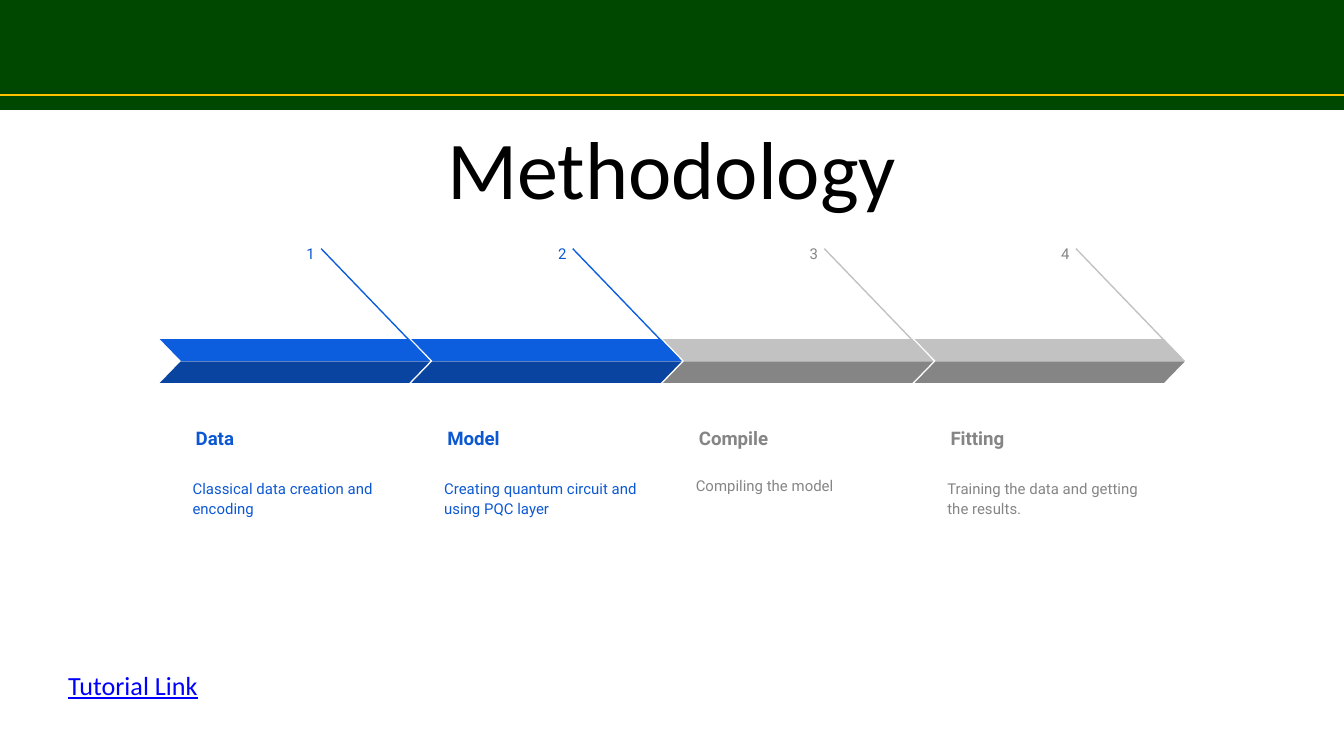
from dataclasses import dataclass

from lxml import etree
from pptx import Presentation
from pptx.dml.color import RGBColor
from pptx.enum import shapes, text
from pptx.oxml.ns import qn
from pptx.util import Cm, Pt

GREEN = RGBColor(0x00, 0x48, 0x00)
GOLD = RGBColor(0xFF, 0xC0, 0x00)
BLACK = RGBColor(0x00, 0x00, 0x00)
LINK_BLUE = RGBColor(0x00, 0x00, 0xFF)
TEXT_BLUE = RGBColor(0x0C, 0x58, 0xD3)
BLUE = RGBColor(0x0D, 0x5D, 0xDF)
DARK_BLUE = RGBColor(0x09, 0x44, 0xA1)
LIGHT_GREY = RGBColor(0xC2, 0xC2, 0xC2)
GREY = RGBColor(0x85, 0x85, 0x85)

SLIDE_W, SLIDE_H = 25.4, 14.29
STEP_LEFT, STEP_PITCH = 3.02, 4.755
BAR_W, BAR_H = 5.11, 0.41
INSET = Cm(0.25)


@dataclass(frozen=True)
class Palette:
    text: RGBColor
    upper: RGBColor
    lower: RGBColor


@dataclass(frozen=True)
class Step:
    heading: str
    body: str
    palette: Palette


ACTIVE = Palette(TEXT_BLUE, BLUE, DARK_BLUE)
PENDING = Palette(GREY, LIGHT_GREY, GREY)
STEPS = [
    Step("Data", "Classical data creation and encoding", ACTIVE),
    Step("Model", "Creating quantum circuit and using PQC layer", ACTIVE),
    Step("Compile", "Compiling the model", PENDING),
    Step("Fitting", "Training the data and getting the results.", PENDING),
]


def write(tf, content: str, *, size: float, color: RGBColor, font: str = "Roboto",
          bold: bool = False, underline: bool = False, align=text.PP_ALIGN.LEFT,
          anchor=text.MSO_ANCHOR.TOP, spacing: float = 1.0, after: float = 0) -> None:
    tf.word_wrap = True
    tf.vertical_anchor = anchor
    p = tf.paragraphs[0]
    p.alignment, p.line_spacing, p.space_after = align, spacing, Pt(after)
    r = p.add_run()
    r.text = content
    f = r.font
    f.name, f.size, f.bold, f.underline = font, Pt(size), bold, underline
    f.color.rgb = color


def add_text(parent, box: tuple, content: str, **fmt) -> None:
    tf = parent.add_textbox(*map(Cm, box)).text_frame
    tf.margin_left = tf.margin_right = tf.margin_top = tf.margin_bottom = INSET
    write(tf, content, **fmt)


def add_filled(parent, kind, box: tuple, color: RGBColor):
    sp = parent.add_shape(kind, *map(Cm, box))
    sp.shadow.inherit = False
    sp.fill.solid()
    sp.fill.fore_color.rgb = color
    sp.line.fill.background()
    return sp


def add_line(parent, ends: tuple, color: RGBColor, width: float) -> None:
    line = parent.add_connector(shapes.MSO_CONNECTOR.STRAIGHT, *map(Cm, ends))
    line.line.color.rgb = color
    line.line.width = Pt(width)
    etree.SubElement(line._element.spPr, qn("a:effectLst"))


def add_bar(parent, x: float, y: float, color: RGBColor, flip: bool) -> None:
    sp = add_filled(parent, shapes.MSO_SHAPE.PARALLELOGRAM, (x, y, BAR_W, BAR_H), color)
    sp.adjustments[0] = 0.97
    if flip:
        sp._element.spPr.find(qn("a:xfrm")).set("flipH", "1")


def add_step(slide, index: int, step: Step) -> None:
    group = slide.shapes.add_group_shape().shapes
    x = STEP_LEFT + index * STEP_PITCH
    colors = step.palette
    small = dict(size=8, color=colors.text, spacing=1.15, after=16)
    add_text(group, (x + 1.45, 4.37, 1.73, 0.66), str(index + 1),
             align=text.PP_ALIGN.RIGHT, **small)
    add_text(group, (x + 0.43, 7.49, 4.19, 1.24), step.heading, size=10, bold=True,
             color=colors.text, spacing=1.15, anchor=text.MSO_ANCHOR.BOTTOM)
    add_text(group, (x + 0.37, 8.76, 4.29, 2.06), step.body, **small)
    add_line(group, (x + 3.05, 4.7, x + 5.04, 6.77), colors.upper, 0.75)
    add_bar(group, x, 6.41, colors.upper, flip=True)
    add_bar(group, x, 6.83, colors.lower, flip=False)


def main() -> None:
    prs = Presentation()
    prs.slide_width, prs.slide_height = Cm(SLIDE_W), Cm(SLIDE_H)
    slide = prs.slides.add_slide(prs.slide_layouts[5])

    add_filled(slide.shapes, shapes.MSO_SHAPE.RECTANGLE, (0, 0, SLIDE_W, 2.08), GREEN)
    add_line(slide.shapes, (0, 1.8, SLIDE_W, 1.8), GOLD, 1.25)

    title = slide.shapes.title
    title.left, title.top, title.width, title.height = map(Cm, (1.27, 1.96, 22.86, 2.39))
    write(title.text_frame, "Methodology", size=44, color=BLACK, font="Calibri",
          align=text.PP_ALIGN.CENTER, anchor=text.MSO_ANCHOR.MIDDLE)

    for index, step in enumerate(STEPS):
        add_step(slide, index, step)

    add_text(slide.shapes, (1.04, 12.4, 9.98, 1.12), "Tutorial Link", size=14,
             color=LINK_BLUE, font="Calibri", underline=True)
    prs.save("out.pptx")


if __name__ == "__main__":
    main()
